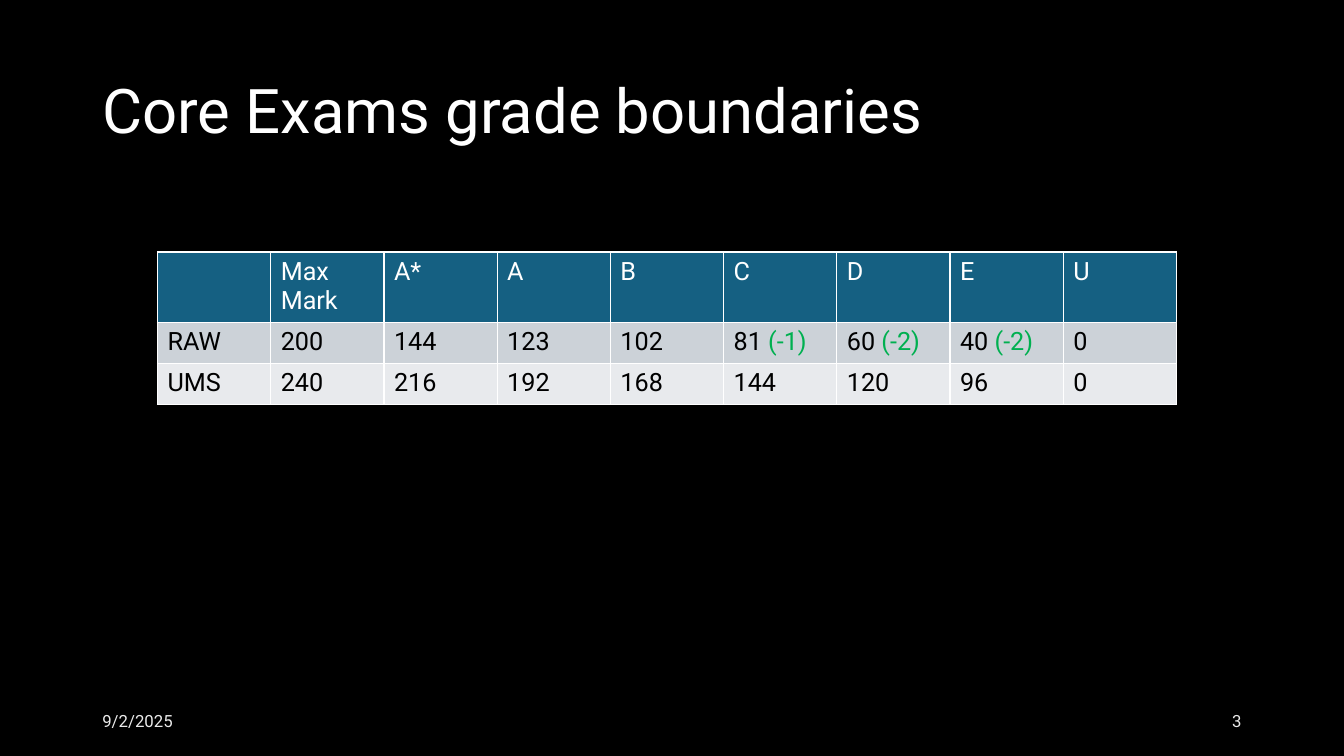
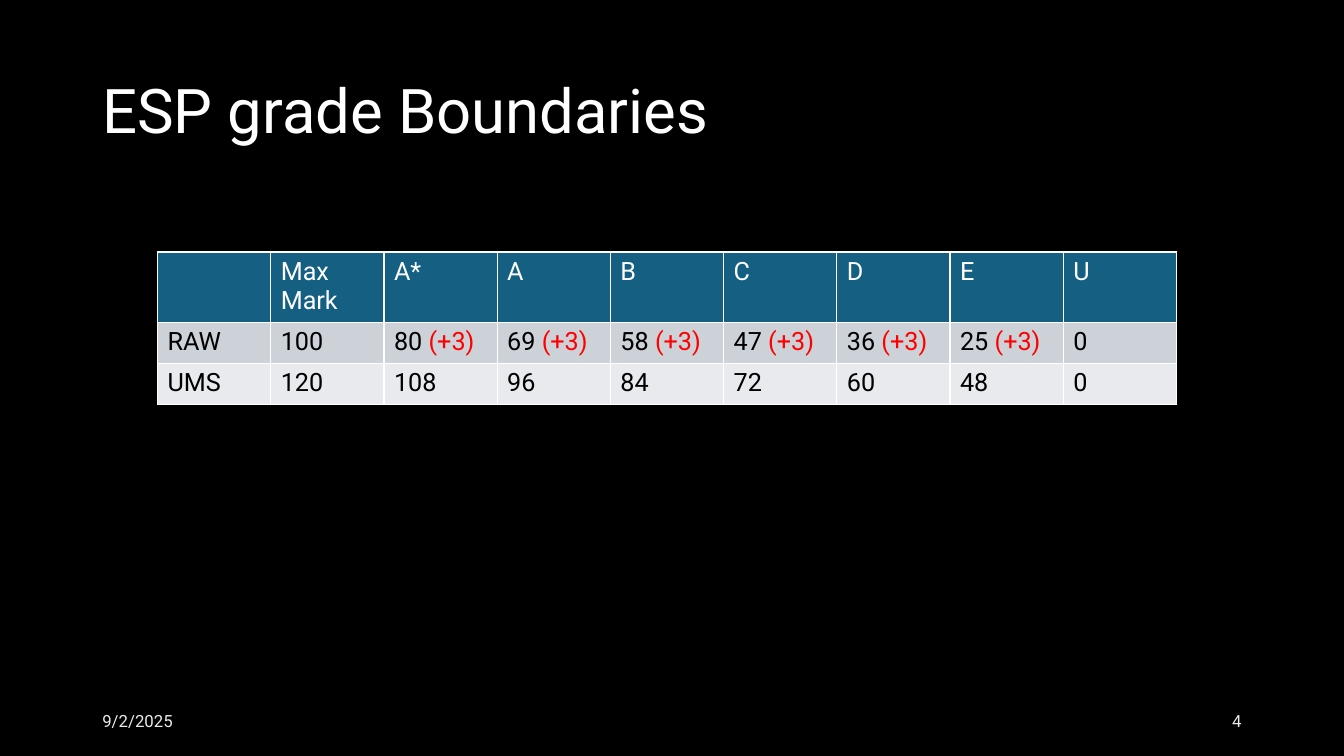
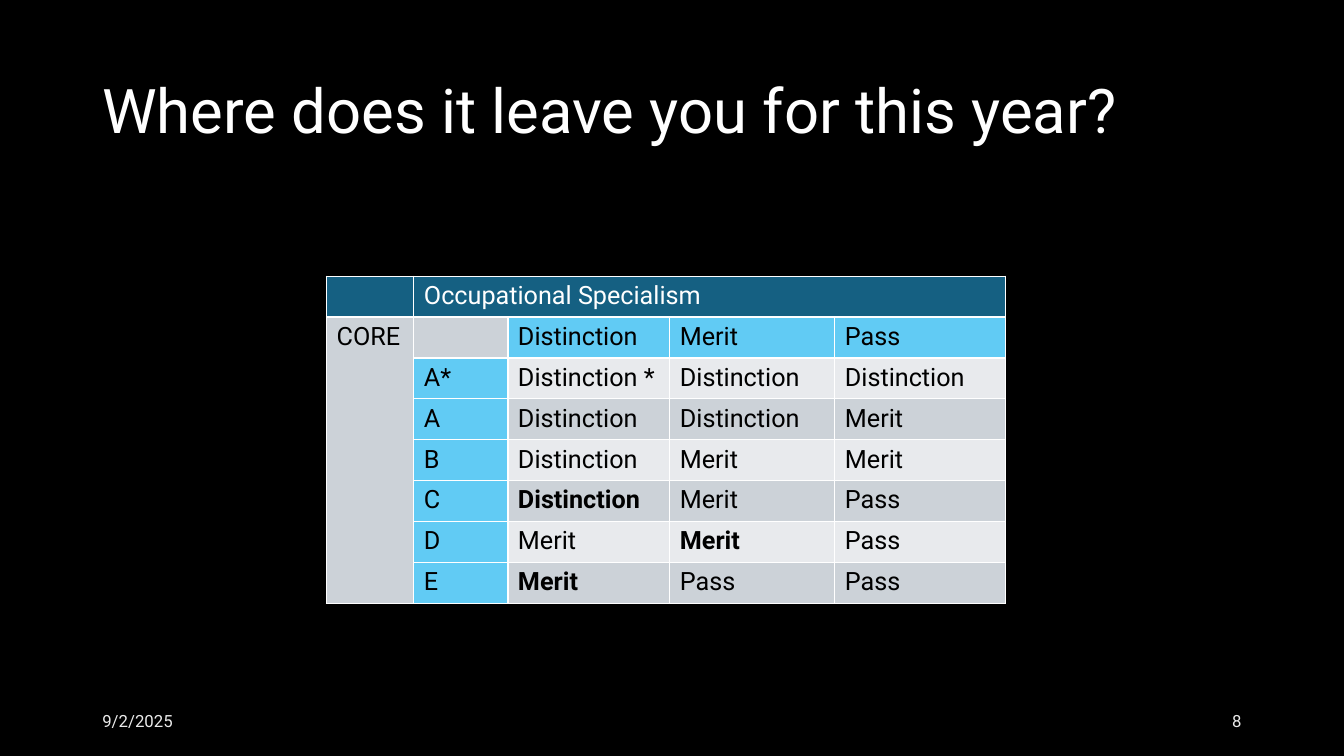
import dataclasses

import lxml.etree
import pptx
import pptx.dml.color
import pptx.enum.text
import pptx.oxml.ns
import pptx.util

Cm = pptx.util.Cm
Pt = pptx.util.Pt


@dataclasses.dataclass(frozen=True)
class Theme:
    """Colours, font and type sizes shared by the deck."""

    font: str = "Roboto"
    title_size: int = 44
    table_size: int = 18
    footer_size: int = 12
    border_width: int = 1
    background: str = "000000"
    light: str = "FFFFFF"
    dark: str = "000000"
    footer: str = "EAEAEA"
    header: str = "156082"
    label: str = "61CBF4"
    bands: tuple = ("CCD2D8", "E8EAED")
    lowered: str = "00B050"
    raised: str = "FF0000"


@dataclasses.dataclass(frozen=True)
class Box:
    """A region of the page, in centimetres."""

    left: float
    top: float
    width: float
    height: float

    def lengths(self):
        """Return the four sides as lengths."""
        return [Cm(side) for side in dataclasses.astuple(self)]


THEME = Theme()
PAGE_WIDTH, PAGE_HEIGHT = 33.87, 19.05
MARGIN = 2.33
TITLE_BOX = Box(MARGIN, 1.01, PAGE_WIDTH - 2 * MARGIN, 3.68)
FOOTER_BOX = Box(MARGIN, 17.65, PAGE_WIDTH - 2 * MARGIN, 1.01)
ROW_HEIGHT = 1.03
TALL_ROW_HEIGHT = 1.75
BOUNDARY_BOX = Box(3.97, 6.35, 25.68, TALL_ROW_HEIGHT + 2 * ROW_HEIGHT)
OUTCOME_BOX = Box(8.23, 6.96, 17.12, 8 * ROW_HEIGHT)
OUTCOME_SHARES = (2.2, 2.37, 4.08, 4.16, 4.31)

DATE = "9/2/2025"
GRADES = ["", "Max Mark", "A*", "A", "B", "C", "D", "E", "U"]
BOUNDARY_PAGES = [
    (
        "Core Exams grade boundaries",
        "3",
        ["RAW", "200", "144", "123", "102", "81 (-1)", "60 (-2)", "40 (-2)", "0"],
        ["UMS", "240", "216", "192", "168", "144", "120", "96", "0"],
    ),
    (
        "ESP grade Boundaries",
        "4",
        ["RAW", "100", "80 (+3)", "69 (+3)", "58 (+3)", "47 (+3)", "36 (+3)", "25 (+3)", "0"],
        ["UMS", "120", "108", "96", "84", "72", "60", "48", "0"],
    ),
]
OUTCOMES = [
    ["", "Occupational Specialism", "", "", ""],
    ["CORE", "", "Distinction", "Merit", "Pass"],
    ["", "A*", "Distinction *", "Distinction", "Distinction"],
    ["", "A", "Distinction", "Distinction", "Merit"],
    ["", "B", "Distinction", "Merit", "Merit"],
    ["", "C", "Distinction", "Merit", "Pass"],
    ["", "D", "Merit", "Merit", "Pass"],
    ["", "E", "Merit", "Pass", "Pass"],
]
OUR_OUTCOMES = {(5, 2), (6, 3), (7, 2)}


def colour(code):
    """Turn a hex code into a colour."""
    return pptx.dml.color.RGBColor.from_string(code)


def style_font(font, size, code, bold=False):
    """Apply the theme font with a size, colour and weight."""
    font.name = THEME.font
    font.size = Pt(size)
    font.bold = bold
    font.color.rgb = colour(code)


def add_text(page, box, text, size, code, align=pptx.enum.text.PP_ALIGN.LEFT):
    """Add one vertically centred line of text and return its paragraph."""
    frame = page.shapes.add_textbox(*box.lengths()).text_frame
    frame.word_wrap = True
    frame.vertical_anchor = pptx.enum.text.MSO_ANCHOR.MIDDLE
    para = frame.paragraphs[0]
    para.text = text
    para.alignment = align
    style_font(para.font, size, code)
    return para


def add_footer(page, box, number):
    """Put the date at the left and the page number at the right of the box."""
    width = 7.62
    date_box = dataclasses.replace(box, width=width)
    number_box = dataclasses.replace(date_box, left=box.left + box.width - width)
    add_text(page, date_box, DATE, THEME.footer_size, THEME.footer)
    add_text(page, number_box, number, THEME.footer_size, THEME.footer,
             pptx.enum.text.PP_ALIGN.RIGHT)


def add_page(deck, title, number):
    """Add a page with its title and footer."""
    page = deck.slides.add_slide(deck.slide_layouts[6])
    para = add_text(page, TITLE_BOX, title, THEME.title_size, THEME.light)
    para.line_spacing = 0.9
    add_footer(page, FOOTER_BOX, number)
    return page


def add_borders(cell):
    """Draw a thin light border on each side of a cell."""
    name = pptx.oxml.ns.qn
    properties = cell._tc.get_or_add_tcPr()
    for side in ("a:lnL", "a:lnR", "a:lnT", "a:lnB"):
        line = lxml.etree.SubElement(properties, name(side), w=str(Pt(THEME.border_width)))
        fill = lxml.etree.SubElement(line, name("a:solidFill"))
        lxml.etree.SubElement(fill, name("a:srgbClr"), val=THEME.light)


def fill_cell(cell, text, fill, code, bold):
    """Style a cell and write its text, colouring a bracketed change."""
    add_borders(cell)
    cell.fill.solid()
    cell.fill.fore_color.rgb = colour(fill)
    para = cell.text_frame.paragraphs[0]
    style_font(para.font, THEME.table_size, code, bold)
    mark, bracket, change = text.partition("(")
    if mark:
        para.add_run().text = mark
    if bracket:
        span = para.add_run()
        span.text = bracket + change
        span.font.color.rgb = colour(THEME.lowered if change.startswith("-") else THEME.raised)


def add_grid(page, box, rows, shares, labels=frozenset(), bold_cells=frozenset()):
    """Add a banded table whose first row takes the height left by the others."""
    table = page.shapes.add_table(len(rows), len(shares), *box.lengths()).table
    table.first_row = table.horz_banding = False
    for column, share in zip(table.columns, shares):
        column.width = Cm(box.width * share / sum(shares))
    for index, texts in enumerate(rows):
        is_header = index == 0
        height = box.height - (len(rows) - 1) * ROW_HEIGHT if is_header else ROW_HEIGHT
        table.rows[index].height = Cm(height)
        band = THEME.header if is_header else THEME.bands[(index - 1) % 2]
        code = THEME.light if is_header else THEME.dark
        for position, text in enumerate(texts):
            place = (index, position)
            fill = THEME.label if place in labels else band
            fill_cell(table.cell(*place), text, fill, code, place in bold_cells)
    return table


def add_boundary_page(deck, title, number, raw, ums):
    """Add a page with the raw and scaled marks for each grade."""
    page = add_page(deck, title, number)
    add_grid(page, BOUNDARY_BOX, [GRADES, raw, ums], [1] * len(GRADES))


def add_outcome_page(deck, title, number):
    """Add a page that crosses core grades with specialism grades."""
    page = add_page(deck, title, number)
    last_row, last_column = len(OUTCOMES) - 1, len(OUTCOME_SHARES) - 1
    labels = {(1, column) for column in range(2, last_column + 1)}
    labels |= {(row, 1) for row in range(2, last_row + 1)}
    table = add_grid(page, OUTCOME_BOX, OUTCOMES, OUTCOME_SHARES, labels, OUR_OUTCOMES)
    table.cell(0, 1).merge(table.cell(0, last_column))
    table.cell(1, 0).merge(table.cell(last_row, 0))


def main():
    """Build and save the deck."""
    deck = pptx.Presentation()
    deck.slide_width, deck.slide_height = Cm(PAGE_WIDTH), Cm(PAGE_HEIGHT)
    backdrop = deck.slide_master.background.fill
    backdrop.solid()
    backdrop.fore_color.rgb = colour(THEME.background)
    for content in BOUNDARY_PAGES:
        add_boundary_page(deck, *content)
    add_outcome_page(deck, "Where does it leave you for this year?", "8")
    deck.save("out.pptx")


if __name__ == "__main__":
    main()
